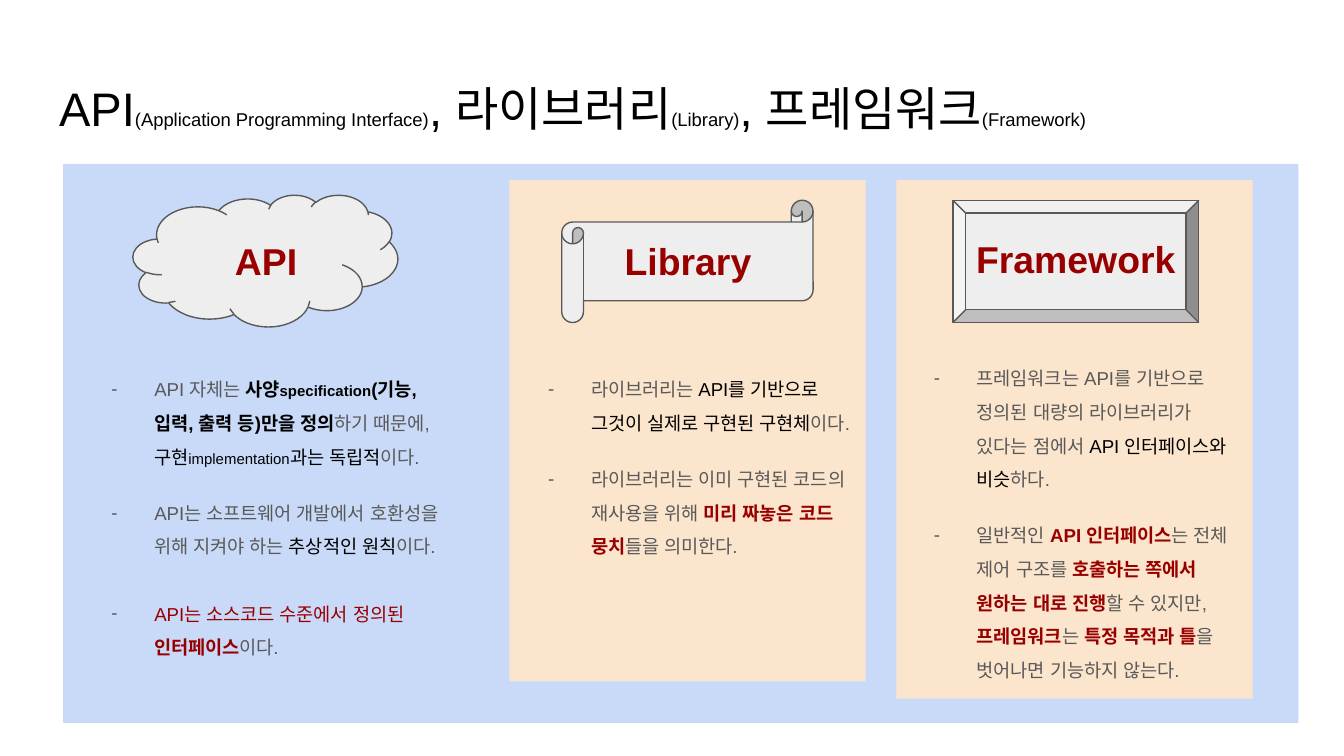
import pptx
import pptx.dml.color
import pptx.enum.lang
import pptx.enum.shapes
import pptx.enum.text
import pptx.util
from lxml import etree
from pptx.oxml.ns import qn

Inches, Pt = pptx.util.Inches, pptx.util.Pt
MSO = pptx.enum.shapes.MSO_SHAPE
ALIGN = pptx.enum.text.PP_ALIGN
ANCHOR = pptx.enum.text.MSO_ANCHOR
KOREAN = pptx.enum.lang.MSO_LANGUAGE_ID.KOREAN

FONT = "Arial"
BLUE, PEACH, LIGHT = "C9DAF8", "FCE5CD", "EEEEEE"
GRAY, BLACK, RED = "595959", "000000", "980000"

STYLES = {
    "plain": (GRAY, False, 10),
    "dark": (BLACK, False, 10),
    "dark small": (BLACK, False, 8),
    "dark bold": (BLACK, True, 10),
    "dark bold small": (BLACK, True, 8),
    "red": (RED, False, 10),
    "red bold": (RED, True, 10),
}

TITLE = [
    ("API", "(Application Programming Interface)"),
    (", 라이브러리", "(Library)"),
    (", 프레임워크", "(Framework)"),
]

PANELS = [
    (BLUE, (0.47, 1.22, 9.19, 4.16)),
    (PEACH, (6.67, 1.34, 2.65, 3.86)),
    (PEACH, (3.79, 1.34, 2.65, 3.73)),
]

COLUMNS = [
    {
        "label": "API", "shape": MSO.CLOUD, "adjust": None,
        "shape_at": (0.99, 1.45, 1.97, 0.98),
        "label_at": (1.15, 1.67, 1.66, 0.54),
        "body_at": (0.55, 2.63, 2.86, 2.39),
        "items": [
            (0, [("API 자체는 ", "plain"), ("사양", "dark bold"),
                 ("specification", "dark bold small"),
                 ("(기능, 입력, 출력 등)만을 정의", "dark bold"),
                 ("하기 때문에, ", "plain"), ("구현", "dark"),
                 ("implementation", "dark small"),
                 ("과는 독립적", "dark"), ("이다.", "plain")]),
            (12, [("API는 소프트웨어 개발에서 호환성을 위해 지켜야 하는 ", "plain"),
                  ("추상적인 원칙", "dark"), ("이다.", "plain")]),
            (18, [("API는 소스코드 수준에서 정의된 ", "red"),
                  ("인터페이스", "red bold"), ("이다.", "plain")]),
        ],
    },
    {
        "label": "Library", "shape": MSO.HORIZONTAL_SCROLL, "adjust": 0.178,
        "shape_at": (4.18, 1.49, 1.87, 0.91),
        "label_at": (4.25, 1.67, 1.74, 0.54),
        "body_at": (3.8, 2.63, 2.64, 1.89),
        "items": [
            (0, [("라이브러리는 ", "plain"),
                 ("API를 기반으로 그것이 실제로 구현된 구현체", "dark"),
                 ("이다.", "plain")]),
            (12, [("라이브러리는 이미 구현된 코드의 재사용을 위해 ", "plain"),
                  ("미리 짜놓은 코드 뭉치", "red bold"),
                  ("들을 의미한다.", "plain")]),
        ],
    },
    {
        "label": "Framework", "shape": MSO.BEVEL, "adjust": 0.105,
        "shape_at": (7.09, 1.49, 1.83, 0.91),
        "label_at": (7.07, 1.66, 1.87, 0.54),
        "body_at": (6.67, 2.55, 2.65, 2.64),
        "items": [
            (0, [("프레임워크는 API를 기반으로 정의된 대량의 라이브러리가 있다는 점에서 ", "plain"),
                 ("API 인터페이스와 비슷", "dark"), ("하다.", "plain")]),
            (12, [("일반적인 ", "plain"), ("API 인터페이스", "red bold"),
                  ("는 전체 제어 구조를 ", "plain"),
                  ("호출하는 쪽에서 원하는 대로 진행", "red bold"),
                  ("할 수 있지만, ", "plain"), ("프레임워크", "red bold"),
                  ("는 ", "plain"), ("특정 목적과 틀", "red bold"),
                  ("을 벗어나면 기능하지 않는다.", "plain")]),
        ],
    },
]


def rgb(value):
    return pptx.dml.color.RGBColor.from_string(value)


def box(at):
    return [Inches(v) for v in at]


def set_frame(sp):
    tf = sp.text_frame
    tf.word_wrap = True
    tf.vertical_anchor = ANCHOR.TOP
    tf.margin_left = tf.margin_right = Inches(0.1)
    tf.margin_top = tf.margin_bottom = Inches(0.1)
    return tf


def add_run(p, text, color, bold, size):
    r = p.add_run()
    r.text = text
    r.font.size = Pt(size)
    r.font.bold = bold
    r.font.color.rgb = rgb(color)
    r.font.language_id = KOREAN
    r.font.name = FONT
    for tag in ("a:ea", "a:cs"):
        etree.SubElement(r._r.get_or_add_rPr(), qn(tag)).set("typeface", FONT)


def add_shape(shapes, kind, at, fill, line=None):
    sp = shapes.add_shape(kind, *box(at))
    sp.shadow.inherit = False
    sp.fill.solid()
    sp.fill.fore_color.rgb = rgb(fill)
    if line:
        sp.line.color.rgb = rgb(line)
        sp.line.width = Pt(0.75)
    else:
        sp.line.fill.background()
    return sp


def add_dash(p):
    pPr = p._p.get_or_add_pPr()
    pPr.set("marL", str(Inches(0.5)))
    pPr.set("indent", str(Inches(-0.32)))
    color = etree.SubElement(pPr, qn("a:buClr"))
    etree.SubElement(color, qn("a:srgbClr")).set("val", GRAY)
    etree.SubElement(pPr, qn("a:buFont")).set("typeface", FONT)
    etree.SubElement(pPr, qn("a:buChar")).set("char", "-")


def add_heading(slide, column):
    group = slide.shapes.add_group_shape()
    sp = add_shape(group.shapes, column["shape"], column["shape_at"], LIGHT, GRAY)
    if column["adjust"]:
        sp.adjustments[0] = column["adjust"]
    tf = set_frame(group.shapes.add_textbox(*box(column["label_at"])))
    p = tf.paragraphs[0]
    p.alignment = ALIGN.CENTER
    add_run(p, column["label"], RED, True, 20)


def add_body(slide, column):
    tf = set_frame(slide.shapes.add_textbox(*box(column["body_at"])))
    for i, (gap, runs) in enumerate(column["items"]):
        p = tf.add_paragraph() if i else tf.paragraphs[0]
        add_dash(p)
        p.line_spacing = 1.5
        p.space_before = Pt(gap)
        for text, style in runs:
            add_run(p, text, *STYLES[style])


def main():
    prs = pptx.Presentation()
    prs.slide_width, prs.slide_height = Inches(10), Inches(5.625)
    slide = prs.slides.add_slide(prs.slide_layouts[5])

    title = slide.shapes.title
    title.left, title.top, title.width, title.height = box((0.34, 0.49, 9.32, 0.63))
    tf = set_frame(title)
    tf.auto_size = pptx.enum.text.MSO_AUTO_SIZE.NONE
    p = tf.paragraphs[0]
    p.alignment = ALIGN.LEFT
    for name, english in TITLE:
        add_run(p, name, BLACK, False, 25.2)
        add_run(p, english, BLACK, False, 9.9)

    for fill, at in PANELS:
        add_shape(slide.shapes, MSO.RECTANGLE, at, fill)
    for column in COLUMNS:
        add_heading(slide, column)
        add_body(slide, column)
    prs.save("out.pptx")


if __name__ == "__main__":
    main()
